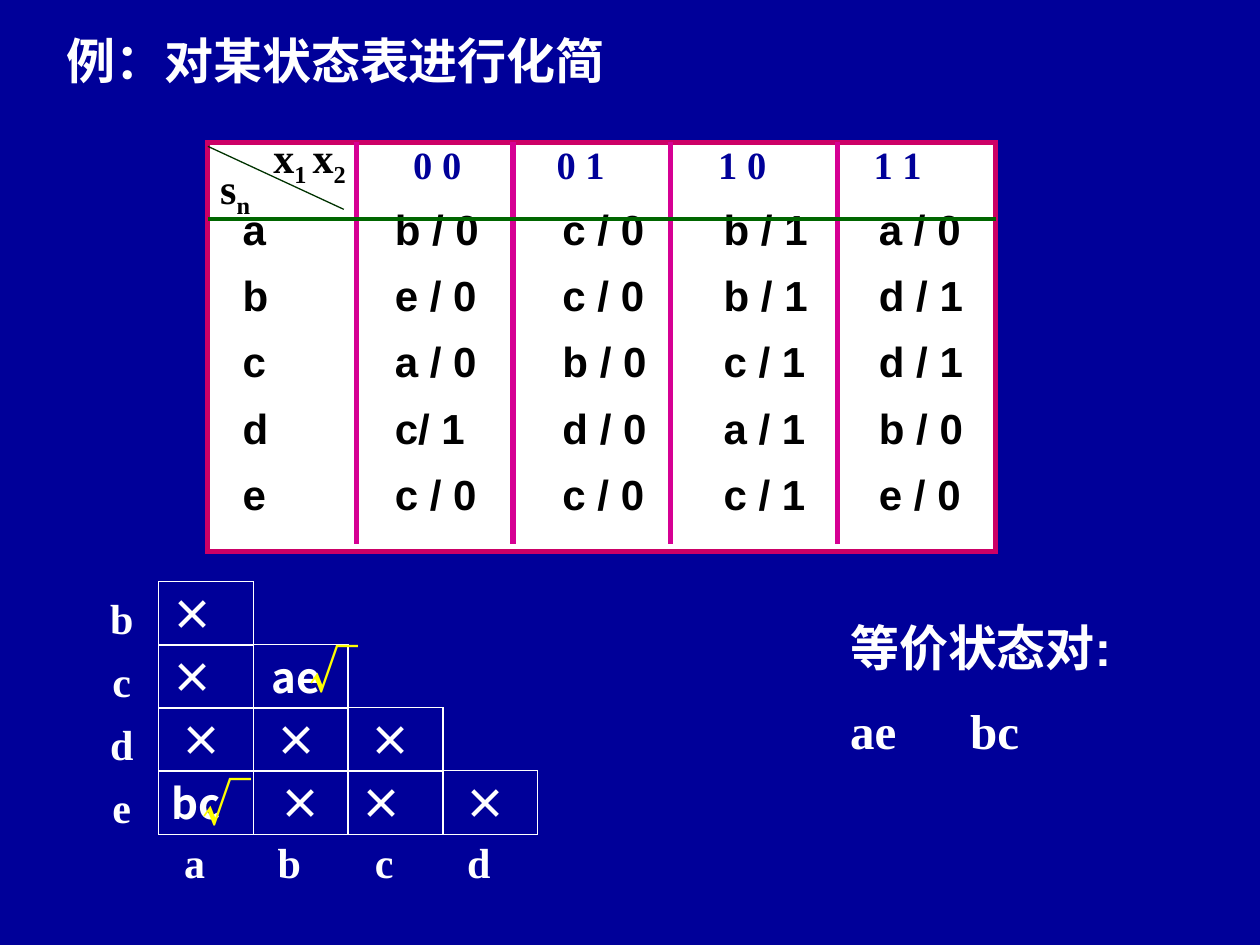
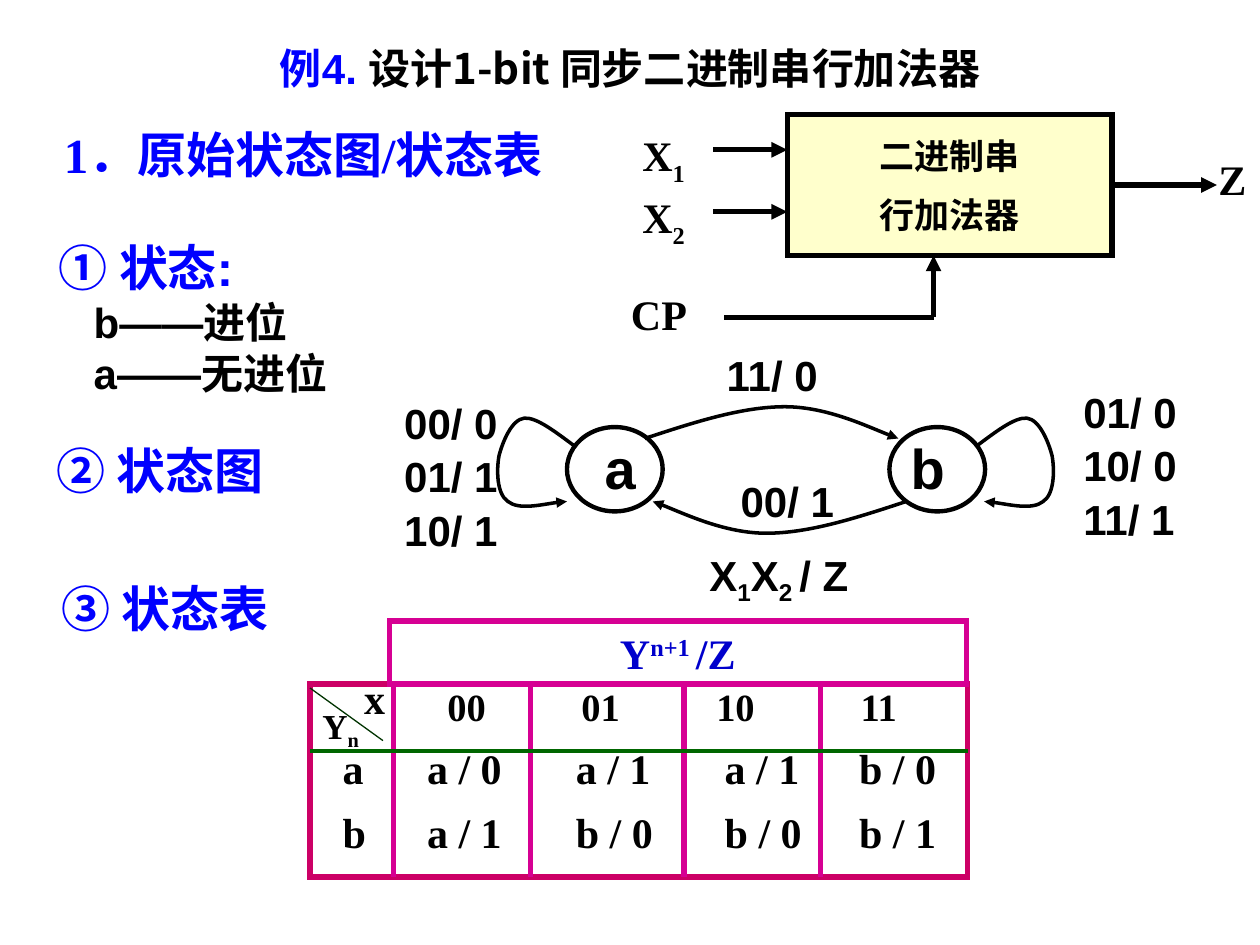
from lxml.etree import SubElement
from pptx import Presentation
from pptx.dml.color import RGBColor
from pptx.enum.shapes import MSO_CONNECTOR as Connector, MSO_SHAPE as Shape
from pptx.enum.text import MSO_ANCHOR as Anchor, MSO_AUTO_SIZE as AutoSize, PP_ALIGN as Align
from pptx.oxml.ns import qn
from pptx.util import Cm, Pt

NAVY = RGBColor(0x00, 0x00, 0x99)
BLUE = RGBColor(0x00, 0x00, 0xFF)
MEDIUM_BLUE = RGBColor(0x00, 0x00, 0xCC)
WHITE = RGBColor(0xFF, 0xFF, 0xFF)
BLACK = RGBColor(0x00, 0x00, 0x00)
YELLOW = RGBColor(0xFF, 0xFF, 0x00)
CREAM = RGBColor(0xFF, 0xFF, 0xCC)
CRIMSON = RGBColor(0xCC, 0x00, 0x66)
MAGENTA = RGBColor(0xD6, 0x00, 0x93)
GREEN = RGBColor(0x00, 0x66, 0x00)
DARK_GREEN = RGBColor(0x00, 0x33, 0x00)

SANS, SERIF, CJK = "Arial", "Times New Roman", "Noto Sans CJK SC"
SUB, SUPER = {"baseline": -25000}, {"baseline": 30000}


def cm_box(box):
    """Turn numbers in centimetres into lengths."""
    return [Cm(value) for value in box]


def add_run(paragraph, text, size, font, color, baseline=None):
    """Add one bold run."""
    run = paragraph.add_run()
    run.text = text
    for name, value in {"size": Pt(size), "bold": True, "name": font}.items():
        setattr(run.font, name, value)
    run.font.color.rgb = color
    properties = run.font._element
    SubElement(properties, qn("a:ea")).set("typeface", CJK)
    if baseline:
        properties.set("baseline", str(baseline))


def write(frame, paragraphs, size=24, font=SERIF, color=BLACK, align=None,
          line_spacing=None, gap=0.5):
    """Fill a text frame; a run is a string or a (string, changes) pair."""
    frame.word_wrap = True
    for index, runs in enumerate(paragraphs):
        paragraph = frame.paragraphs[0] if index == 0 else frame.add_paragraph()
        paragraph.alignment = align
        if line_spacing:
            paragraph.line_spacing = line_spacing
        if index:
            paragraph.space_before = Pt(size * gap)
        for run in [runs] if isinstance(runs, str) else runs:
            text, changes = (run, {}) if isinstance(run, str) else run
            add_run(paragraph, text, **{"size": size, "font": font, "color": color, **changes})


def set_tabs(paragraph, positions):
    """Give a paragraph left tab stops."""
    tabs = SubElement(paragraph._p.get_or_add_pPr(), qn("a:tabLst"))
    for position in positions:
        tab = SubElement(tabs, qn("a:tab"))
        tab.set("pos", str(Cm(position)))
        tab.set("algn", "l")


def add_text(slide, box, *paragraphs, **style):
    """Add a text box."""
    shape = slide.shapes.add_textbox(*cm_box(box))
    write(shape.text_frame, paragraphs, **style)
    return shape


def add_shape(slide, kind, box, line, width, fill=None):
    """Add an outlined preset shape, filled or hollow."""
    shape = slide.shapes.add_shape(kind, *cm_box(box))
    shape.shadow.inherit = False
    if fill is None:
        shape.fill.background()
    else:
        shape.fill.solid()
        shape.fill.fore_color.rgb = fill
    shape.line.color.rgb = line
    shape.line.width = Pt(width)
    SubElement(shape.line._get_or_add_ln(), qn("a:miter")).set("lim", "800000")
    return shape


def add_arrowhead(shape):
    """Put a triangle at the end of a line."""
    SubElement(shape.line._get_or_add_ln(), qn("a:tailEnd")).set("type", "triangle")


def add_line(slide, ends, color=BLACK, width=3, arrow=False):
    """Add a straight connector."""
    connector = slide.shapes.add_connector(Connector.STRAIGHT, *cm_box(ends))
    connector.line.color.rgb = color
    connector.line.width = Pt(width)
    SubElement(connector._element.spPr, qn("a:effectLst"))
    if arrow:
        add_arrowhead(connector)
    return connector


def add_curve(slide, left, top, points):
    """Draw a curved arrow through a chain of cubic curves."""
    places = [(Cm(left + x), Cm(top + y)) for x, y in points]
    builder = slide.shapes.build_freeform(*places[0])
    builder.add_line_segments(places[1:], close=False)
    curve = builder.convert_to_shape()
    outline = curve._element.find(f".//{qn('a:path')}")
    segments = outline.findall(qn("a:lnTo"))
    for first in range(0, len(segments), 3):
        cubic = SubElement(outline, qn("a:cubicBezTo"))
        for segment in segments[first:first + 3]:
            cubic.append(segment[0])
            outline.remove(segment)
    curve.shadow.inherit = False
    curve.fill.background()
    curve.line.color.rgb = BLACK
    curve.line.width = Pt(2)
    add_arrowhead(curve)


def state_table(slide, box, rows, tabs, spacing, header, body):
    """Write the rows of a state table in a frame, aligned by tab stops."""
    frame = add_shape(slide, Shape.RECTANGLE, box, CRIMSON, 3, WHITE).text_frame
    frame.vertical_anchor = Anchor.TOP
    lines = [[("\t".join(row), header if r == 0 else body)] for r, row in enumerate(rows)]
    write(frame, lines, align=Align.LEFT)
    for r, paragraph in enumerate(frame.paragraphs):
        paragraph.line_spacing = spacing[min(r, 1)]
        set_tabs(paragraph, tabs[min(r, 1)])


def table_rules(slide, box, columns, column_height, header_height):
    """Draw the column separators and the rule below the header."""
    left, top, width, _ = box
    for x in columns:
        add_line(slide, (left + x, top, left + x, top + column_height), MAGENTA)
    add_line(slide, (left, top + header_height, left + width, top + header_height), GREEN, 2.25)


def table_corner(slide, box, end, state, state_size, inputs, inputs_left, inputs_width):
    """Split the corner cell by a diagonal between two labels."""
    left, top = box[:2]
    add_line(slide, (left, top + 0.08, left + end[0], top + end[1]), DARK_GREEN, 0.75)
    add_text(slide, (left, top + 0.28, 2.62, 1.27), state, size=state_size)
    add_text(slide, (left + inputs_left, top - 0.35, inputs_width, 1.27), inputs)


def implication_chart(slide, left, top):
    """Build the staircase of state pairs."""
    width, height, pitch, first = 1.91, 1.28, 1.27, 1.7
    start, center = Align.LEFT, Align.CENTER
    rows = {
        "b": [("×", start)],
        "c": [("×", start), ("ae ", center)],
        "d": [("× ", center)] * 3,
        "e": [("bc", start), ("×", center), ("×", start), ("× ", center)],
    }
    label = {"color": WHITE, "align": center}
    for r, (state, pairs) in enumerate(rows.items()):
        y = top + r * pitch
        add_text(slide, (left, y + 0.08, width, 1.27), state, **label)
        for c, (text, align) in enumerate(pairs):
            cell = add_shape(slide, Shape.RECTANGLE,
                             (left + first + c * width, y, width, height), WHITE, 0.75)
            cell.text_frame.vertical_anchor = Anchor.TOP
            write(cell.text_frame, [text], font=CJK, color=WHITE, align=align)
    for c, state in enumerate("abcd"):
        add_text(slide, (left + 1.47 + c * width, top + 5, width, 1.27), state, **label)
    for x, y in ((4.5, 1.04), (2.34, 3.71)):
        add_text(slide, (left + x, top + y, width, 1.45), "√", size=28, font=CJK, color=YELLOW)


def equivalent_pairs(slide, box):
    """List the equivalent state pairs."""
    shape = add_text(slide, box, [("等价状态对:", {"font": SANS})], "ae\tbc", size=28, color=WHITE)
    set_tabs(shape.text_frame.paragraphs[1], [2.42])


def adder_block(slide, left, top):
    """Draw the serial adder with its inputs, clock and output."""
    block = add_shape(slide, Shape.RECTANGLE, (left + 3.4, top, 6.55, 2.84), BLACK, 3, CREAM)
    block.text_frame.vertical_anchor = Anchor.MIDDLE
    write(block.text_frame, ["二进制串", "行加法器"], size=20, font=CJK, align=Align.CENTER)
    for number, y in (("1", 0.71), ("2", 1.96)):
        add_text(slide, (left + 0.23, top + y - 0.53, 1.47, 1.27), ["X", (number, SUB)])
        add_line(slide, (left + 1.91, top + y, left + 3.4, top + y), arrow=True)
    add_text(slide, (left, top + 3.38, 1.9, 1.27), "CP")
    add_line(slide, (left + 2.13, top + 4.09, left + 6.35, top + 4.09))
    add_line(slide, (left + 6.35, top + 4.09, left + 6.35, top + 2.84), arrow=True)
    output = add_line(slide, (left + 9.95, top + 1.42, left + 12.06, top + 1.42), arrow=True)
    output.begin_connect(block, 3)
    add_text(slide, (left + 11.84, top + 0.66, 1.09, 1.27), "Z")


def state_diagram(slide, left, top):
    """Draw the two states and their transitions."""
    for state, circle_x, letter_x in (("a", 3.53, 4.04), ("b", 10.03, 10.21)):
        add_shape(slide, Shape.OVAL, (left + circle_x, top + 1.68, 1.93, 1.7), BLACK, 2.5)
        add_text(slide, (left + letter_x, top + 1.68, 1.22, 1.6), state, size=32, font=SANS)
    loop = [(3.68, 2.06), (3.3, 1.78), (2.92, 1.48), (2.67, 1.5), (2.41, 1.53), (2.23, 1.99),
            (2.16, 2.26), (2.11, 2.54), (2.11, 3.03), (2.34, 3.18), (2.56, 3.36),
            (3.33, 3.18), (3.53, 3.18)]
    arc = [(5.1, 1.91), (6.1, 1.58), (7.06, 1.27), (7.92, 1.27), (8.76, 1.27),
           (9.83, 1.78), (10.21, 1.91)]
    mirror_x, mirror_y = 15.47, 5.09
    for points in (loop, [(mirror_x - x, y) for x, y in loop],
                   arc, [(mirror_x - x, mirror_y - y) for x, y in arc]):
        add_curve(slide, left, top, points)
    for x, y, width, text in ((6.5, 0, 2.79, "11/ 0"), (6.78, 2.54, 2.79, "00/ 1"),
                              (6.15, 4.02, 3.61, ["X", ("1", SUB), "X", ("2 ", SUB), "/ Z"])):
        add_text(slide, (left + x, top + y, width, 1.27), text, font=SANS)
    for x, y, labels in ((0, 1.27, ("00/ 0", "01/ 1", "10/ 1")),
                         (13.69, 1.05, ("01/ 0", "10/ 0", "11/ 1"))):
        add_text(slide, (left + x, top + y, 2.82, 3.25), *labels, font=SANS, line_spacing=0.65)


def steps(slide, left, top):
    """Write the headings of the design steps."""
    heading = {"size": 28, "font": SANS, "color": BLUE}
    add_text(slide, (left + 0.15, top, 12.62, 1.45), "1．原始状态图/状态表",
             **{**heading, "font": SERIF})
    body = {"size": 24, "color": BLACK}
    states = add_text(slide, (left + 0.05, top + 2.28, 7.09, 3.5), "① 状态:",
                      [("b——进位", body)], [("a——无进位", body)], gap=0, **heading)
    for paragraph in states.text_frame.paragraphs[1:]:
        paragraph._p.get_or_add_pPr().set("marL", str(Cm(0.7)))
    add_text(slide, (left, top + 6.37, 7.29, 1.45), "② 状态图", **heading)
    add_text(slide, (left + 0.11, top + 9.14, 6.9, 1.45), "③ 状态表", **heading)


def new_slide(presentation, background, box, title, **style):
    """Add a title-only slide with its background and title."""
    slide = presentation.slides.add_slide(presentation.slide_layouts[5])
    slide.background.fill.solid()
    slide.background.fill.fore_color.rgb = background
    shape = slide.shapes.title
    for name, value in zip(("left", "top", "width", "height"), cm_box(box)):
        setattr(shape, name, value)
    shape.text_frame.auto_size = AutoSize.NONE
    shape.text_frame.vertical_anchor = Anchor.TOP
    write(shape.text_frame, [title], font=CJK, **style)
    return slide


def reduction_slide(presentation):
    """Build the slide on reducing a state table."""
    slide = new_slide(presentation, NAVY, (0.64, 0.48, 24.7, 1.45), "例：对某状态表进行化简",
                      size=28, color=WHITE, align=Align.LEFT)
    slide.shapes.title.text_frame.margin_left = Cm(0.7)
    box = (4.19, 2.87, 15.88, 8.25)
    rows = [("", "0 0", "0 1", "1 0", "1 1"),
            ("", "a", "b / 0", "c / 0", "b / 1", "a / 0"),
            ("", "b", "e / 0", "c / 0", "b / 1", "d / 1"),
            ("", "c", "a / 0", "b / 0", "c / 1", "d / 1"),
            ("", "d", "c/ 1", "d / 0", "a / 1", "b / 0"),
            ("", "e", "c / 0", "c / 0", "c / 1", "e / 0")]
    tabs = (3.89, 6.78, 10.04, 13.17), (0.45, 3.52, 6.9, 10.15, 13.28)
    state_table(slide, box, rows, tabs, (0.85, 0.9),
                {"size": 22, "color": NAVY}, {"font": SANS})
    table_rules(slide, box, (3, 6.15, 9.32, 12.7), 8.1, 1.55)
    table_corner(slide, box, (2.74, 1.35), ["s", ("n", SUB)], 24,
                 ["x", ("1 ", SUB), "x", ("2", SUB)], 1.07, 2.74)
    implication_chart(slide, 1.5, 11.73)
    equivalent_pairs(slide, (16.89, 12.32, 7.39, 3.25))


def adder_slide(presentation):
    """Build the slide on the serial adder."""
    title = [("例4. ", {"font": SANS, "color": BLUE}), "设计1-bit 同步二进制串行加法器"]
    slide = new_slide(presentation, WHITE, (3.1, 0.73, 19.2, 1.3), title, align=Align.CENTER)
    steps(slide, 0.89, 2.39)
    state_diagram(slide, 7.9, 6.93)
    box = (6.25, 13.79, 13.26, 3.89)
    rows = [("", "00", "01", "10", "11"),
            ("", "a", "a / 0", "a / 1", "a / 1", "b / 0"),
            ("", "b", "a / 1", "b / 0", "b / 0", "b / 1")]
    tabs = (2.52, 5.22, 7.94, 10.85), (0.41, 2.11, 5.11, 8.11, 10.82)
    state_table(slide, box, rows, tabs, (0.85, 0.85), {"size": 22}, {})
    table_rules(slide, box, (1.68, 4.45, 7.54, 10.29), 3.89, 1.35)
    table_corner(slide, box, (1.47, 1.14), ["Y", ("n", SUB)], 20, "x", 0.84, 1.27)
    heading = add_shape(slide, Shape.RECTANGLE, (box[0] + 1.6, box[1] - 1.27, 11.63, 1.27),
                        MAGENTA, 3, WHITE)
    heading.text_frame.vertical_anchor = Anchor.MIDDLE
    write(heading.text_frame, [["Y", ("n+1 ", SUPER), "/Z"]],
          color=MEDIUM_BLUE, align=Align.CENTER)
    heading.text_frame.word_wrap = False
    adder_block(slide, 12.47, 2.31)


def main():
    """Build and save the presentation."""
    presentation = Presentation()
    presentation.slide_width, presentation.slide_height = Cm(25.4), Cm(19.05)
    reduction_slide(presentation)
    adder_slide(presentation)
    presentation.save("out.pptx")


if __name__ == "__main__":
    main()
